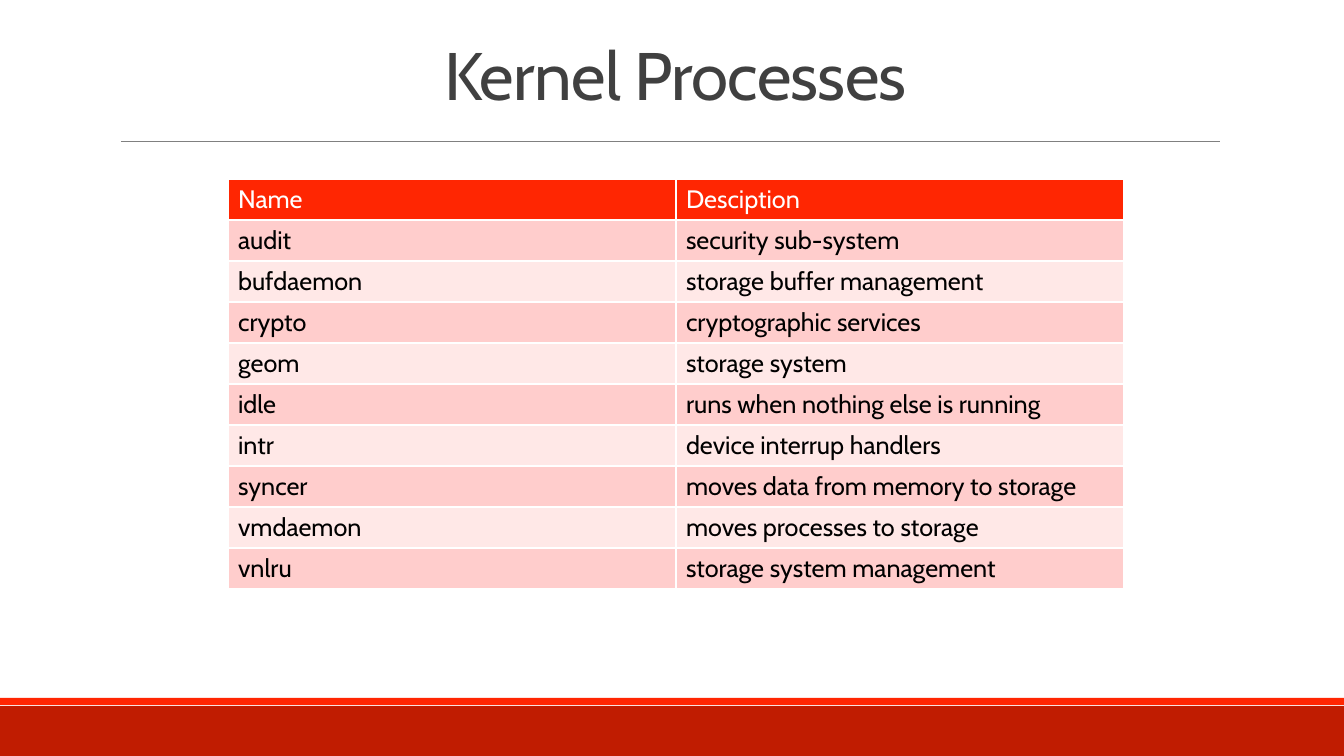
from typing import NamedTuple

from lxml import etree
from pptx import Presentation
from pptx import util as u
from pptx.dml.color import RGBColor
from pptx.enum import shapes, text
from pptx.oxml import ns

EMU_PER_PX = 914400 / 100.8
FONT = "Cabin"
WHITE, RED, DARK_RED = "FFFFFF", "FF2602", "C01C01"
BAND_FILLS = ("FFCDCC", "FFE8E7")


class Band(NamedTuple):
    top: int
    height: int
    fill: str


class Process(NamedTuple):
    name: str
    description: str


FOOTER_BANDS = (Band(706, 50, DARK_RED), Band(698, 7, RED))
HEADER = Process("Name", "Desciption")
PROCESSES = (
    Process("audit", "security sub-system"),
    Process("bufdaemon", "storage buffer management"),
    Process("crypto", "cryptographic services"),
    Process("geom", "storage system"),
    Process("idle", "runs when nothing else is running"),
    Process("intr", "device interrup handlers"),
    Process("syncer", "moves data from memory to storage"),
    Process("vmdaemon", "moves processes to storage"),
    Process("vnlru", "storage system management"),
)


def px(length: int) -> u.Emu:
    return u.Emu(round(length * EMU_PER_PX))


def colour(value: str) -> RGBColor:
    return RGBColor.from_string(value)


def add_run(paragraph, words: str, size: int, ink: str):
    run = paragraph.add_run()
    run.text = words
    run.font.name = FONT
    run.font.size = u.Pt(size)
    run.font.bold = False
    run.font.color.rgb = colour(ink)
    return run


def add_band(slide, band: Band) -> None:
    shape = slide.shapes.add_shape(
        shapes.MSO_SHAPE.RECTANGLE, 0, px(band.top), px(1344), px(band.height))
    shape.shadow.inherit = False
    shape.fill.solid()
    shape.fill.fore_color.rgb = colour(band.fill)
    shape.line.fill.background()


def add_rule(slide) -> None:
    rule = slide.shapes.add_connector(
        shapes.MSO_CONNECTOR.STRAIGHT, px(121), px(141), px(1220), px(141))
    rule.line.color.rgb = colour("808080")
    rule.line.width = u.Pt(0.5)
    etree.SubElement(rule._element.spPr, ns.qn("a:effectLst"))


def add_title(slide) -> None:
    box = slide.shapes.add_textbox(px(121), px(31), px(1109), px(97))
    frame = box.text_frame
    frame.word_wrap = True
    frame.vertical_anchor = text.MSO_ANCHOR.MIDDLE
    paragraph = frame.paragraphs[0]
    paragraph.alignment = text.PP_ALIGN.CENTER
    paragraph.line_spacing = 0.85
    run = add_run(paragraph, "Kernel Processes", 48, "404040")
    run._r.get_or_add_rPr().set("spc", "-50")


def add_borders(cell) -> None:
    properties = cell._tc.get_or_add_tcPr()
    for side in ("lnL", "lnR", "lnT", "lnB"):
        line = etree.SubElement(properties, ns.qn(f"a:{side}"), w=str(u.Pt(1)))
        fill = etree.SubElement(line, ns.qn("a:solidFill"))
        etree.SubElement(fill, ns.qn("a:srgbClr"), val=WHITE)


def fill_cell(cell, words: str, ink: str, fill: str) -> None:
    add_borders(cell)
    cell.fill.solid()
    cell.fill.fore_color.rgb = colour(fill)
    add_run(cell.text_frame.paragraphs[0], words, 18, ink)


def add_process_table(slide) -> None:
    rows = (HEADER, *PROCESSES)
    table = slide.shapes.add_table(
        len(rows), 2, px(228), px(179), px(896), px(41 * len(rows))).table
    table.first_row = False
    table.horz_banding = False
    for index, process in enumerate(rows):
        is_header = index == 0
        ink = WHITE if is_header else "000000"
        fill = RED if is_header else BAND_FILLS[(index - 1) % 2]
        for column, words in enumerate(process):
            fill_cell(table.cell(index, column), words, ink, fill)


def main() -> None:
    presentation = Presentation()
    presentation.slide_width = px(1344)
    presentation.slide_height = px(756)
    slide = presentation.slides.add_slide(presentation.slide_layouts[6])

    # Footer and title rule
    for band in FOOTER_BANDS:
        add_band(slide, band)
    add_rule(slide)

    # Title and table
    add_title(slide)
    add_process_table(slide)
    presentation.save("out.pptx")


if __name__ == "__main__":
    main()
